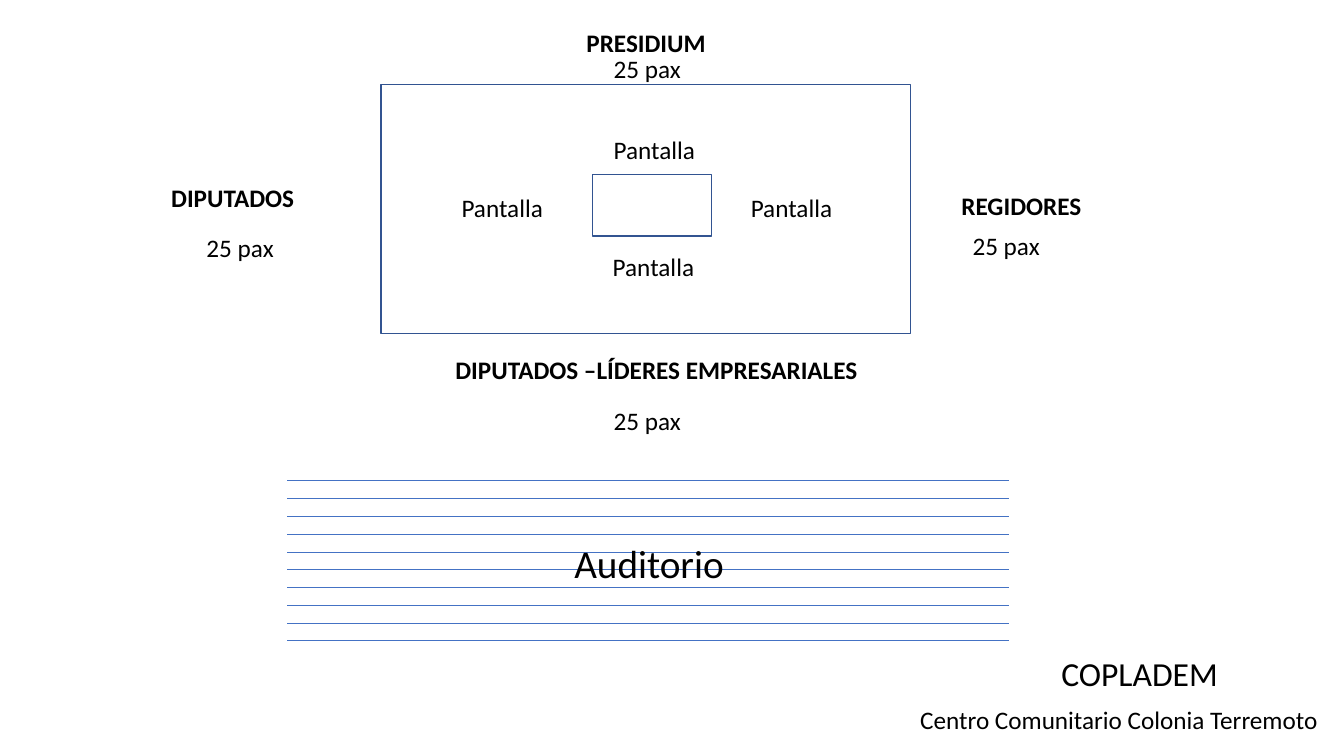
from collections import namedtuple

from lxml.etree import SubElement
from pptx import Presentation
from pptx.dml.color import RGBColor
from pptx.enum.shapes import MSO_CONNECTOR as Connector, MSO_SHAPE as Preset
from pptx.enum.text import MSO_AUTO_SIZE as AutoSize
from pptx.oxml.ns import qn
from pptx.util import Pt

Box = namedtuple("Box", "left top width height")

COLORS = {"text": "000000", "outline": "325491", "row": "4472C4"}
SEAT_COUNT = "25 pax"
SEAT_WIDTH = 63.4
LABEL_HEIGHT = 29
ROW_COUNT = 10


def add_label(page, text, box, size=18, bold=False, wrap=False):
    label = page.shapes.add_textbox(*map(Pt, box))
    frame = label.text_frame
    frame.word_wrap = wrap
    frame.auto_size = AutoSize.SHAPE_TO_FIT_TEXT
    span = frame.paragraphs[0].add_run()
    span.text = text
    values = {"name": "Calibri", "size": Pt(size), "bold": bold}
    for name, value in values.items():
        setattr(span.font, name, value)
    span.font.color.rgb = RGBColor.from_string(COLORS["text"])


def add_outline(page, box):
    outline = page.shapes.add_shape(Preset.RECTANGLE, *map(Pt, box))
    outline.shadow.inherit = False
    outline.fill.background()
    outline.line.color.rgb = RGBColor.from_string(COLORS["outline"])
    outline.line.width = Pt(1)


def add_table_area(page, box):
    add_outline(page, box)
    groups = [
        ("PRESIDIUM", 139.6, -44.7, 100.8, 159.1, -25.9),
        ("DIPUTADOS", -157, 66.2, 103, -131.8, 102.2),
        ("REGIDORES", 407.5, 72, 100.8, 415.4, 100.8),
        ("DIPUTADOS –LÍDERES EMPRESARIALES", 46, 189.3, 304.6, 159.1, 225.3),
    ]
    for title, left, top, width, seat_left, seat_top in groups:
        title_box = Box(box.left + left, box.top + top, width, LABEL_HEIGHT)
        seat_box = Box(box.left + seat_left, box.top + seat_top, SEAT_WIDTH, LABEL_HEIGHT)
        add_label(page, title, title_box, bold=True)
        add_label(page, SEAT_COUNT, seat_box)


def add_screens(page, box):
    add_outline(page, box)
    for left, top in [(7.9, -32.4), (-100.8, 9.3), (7.2, 51.1), (105.8, 9.3)]:
        screen_box = Box(box.left + left, box.top + top, 79.2, LABEL_HEIGHT)
        add_label(page, "Pantalla", screen_box, wrap=True)


def add_auditorium(page, box):
    pitch = box.height / (ROW_COUNT - 1)
    for index in range(ROW_COUNT):
        top = box.top + index * pitch
        ends = (box.left, top, box.left + box.width, top)
        row = page.shapes.add_connector(Connector.STRAIGHT, *map(Pt, ends))
        row.line.color.rgb = RGBColor.from_string(COLORS["row"])
        row.line.width = Pt(0.5)
        SubElement(row._element.spPr, qn("a:effectLst"))
    label_box = Box(box.left + 198, box.top + 38.2, 139.7, 41)
    add_label(page, "Auditorio", label_box, size=28, wrap=True)


def add_venue(page, box):
    place_box = Box(box.left, box.top + 36.7, box.width, LABEL_HEIGHT)
    add_label(page, "Centro Comunitario Colonia Terremoto", place_box)
    name_box = Box(box.left + 100.8, box.top, 155.5, 36)
    add_label(page, "COPLADEM", name_box, size=24, wrap=True)


def main():
    deck = Presentation()
    deck.slide_width, deck.slide_height = Pt(960), Pt(540)
    page = deck.slides.add_slide(deck.slide_layouts[6])
    add_table_area(page, Box(272.2, 60.5, 378, 177.8))
    add_screens(page, Box(423.4, 124.6, 85, 43.9))
    add_auditorium(page, Box(205.2, 343.4, 515.5, 114.3))
    add_venue(page, Box(650.2, 463, 301.7, 65.7))
    deck.save("out.pptx")


if __name__ == "__main__":
    main()
